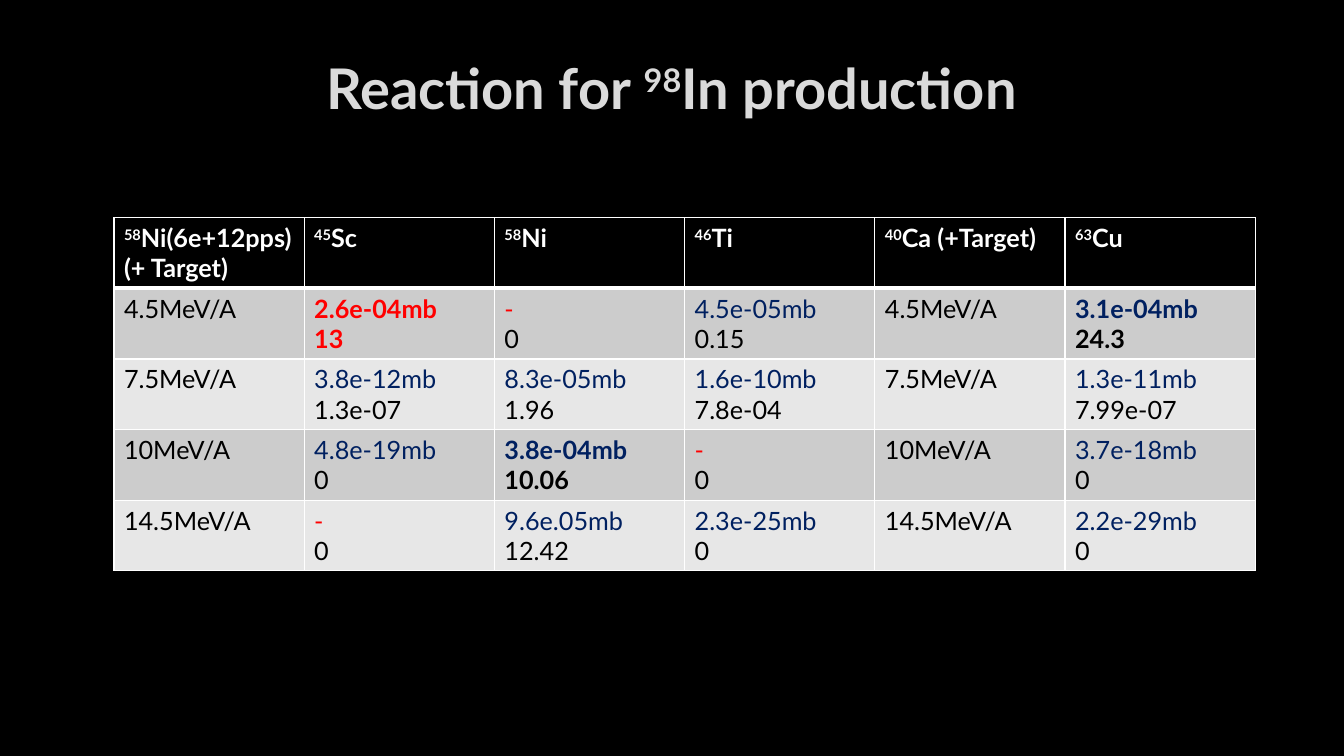
import pptx
import pptx.util
import pptx.dml.color
import pptx.enum.text
import pptx.oxml
import pptx.oxml.ns

Inches, Pt = pptx.util.Inches, pptx.util.Pt
RGB = pptx.dml.color.RGBColor
BLACK = RGB(0x00, 0x00, 0x00)
WHITE = RGB(0xFF, 0xFF, 0xFF)
SILVER = RGB(0xDA, 0xDA, 0xDA)
RED = RGB(0xFF, 0x00, 0x00)
NAVY = RGB(0x00, 0x20, 0x60)
BANDS = [RGB(0xCC, 0xCC, 0xCC), RGB(0xE7, 0xE7, 0xE7)]
FONT = "Lato"

HEADS = [("58", "Ni(6e+12pps) (+ Target)"), ("45", "Sc"), ("58", "Ni"),
         ("46", "Ti"), ("40", "Ca (+Target)"), ("63", "Cu")]
# Each cell below the head: cross section, then rate.
ROWS = [
    ["4.5MeV/A", "2.6e-04mb\n13", "-\n0", "4.5e-05mb\n0.15",
     "4.5MeV/A", "3.1e-04mb\n24.3"],
    ["7.5MeV/A", "3.8e-12mb\n1.3e-07", "8.3e-05mb\n1.96",
     "1.6e-10mb\n7.8e-04", "7.5MeV/A", "1.3e-11mb\n7.99e-07"],
    ["10MeV/A", "4.8e-19mb\n0", "3.8e-04mb\n10.06", "-\n0",
     "10MeV/A", "3.7e-18mb\n0"],
    ["14.5MeV/A", "-\n0", "9.6e.05mb\n12.42", "2.3e-25mb\n0",
     "14.5MeV/A", "2.2e-29mb\n0"],
]
BEST = [(1, 1), (1, 5), (3, 2)]
CHOSEN = (1, 1)


def write(para, parts, size, color, bold):
    """Fill a paragraph with (text, raised) parts in one font."""
    for text, raised in parts:
        run = para.add_run()
        run.text = text
        if raised:
            run.font._element.set("baseline", "30000")
    para.font.name = FONT
    para.font.size = Pt(size)
    para.font.bold = bold
    para.font.color.rgb = color


def border(cell, row):
    """Draw white cell edges, thick under the head row."""
    props = cell._tc.get_or_add_tcPr()
    thick = {(0, "B"), (1, "T")}
    for side in "LRTB":
        width = Pt(3 if (row, side) in thick else 1)
        props.append(pptx.oxml.parse_xml(
            f'<a:ln{side} {pptx.oxml.ns.nsdecls("a")} w="{width}">'
            f'<a:solidFill><a:srgbClr val="{WHITE}"/></a:solidFill>'
            f'</a:ln{side}>'))


deck = pptx.Presentation()
deck.slide_width, deck.slide_height = Inches(13.33), Inches(7.5)
slide = deck.slides.add_slide(deck.slide_layouts[5])
slide.background.fill.solid()
slide.background.fill.fore_color.rgb = BLACK

wide = Inches(11.32)
title = slide.shapes.title
title.left, title.top = Inches(1), Inches(0.33)
title.width, title.height = wide, Inches(1.06)
frame = title.text_frame
frame.vertical_anchor = pptx.enum.text.MSO_ANCHOR.MIDDLE
frame.paragraphs[0].alignment = pptx.enum.text.PP_ALIGN.CENTER
write(frame.paragraphs[0],
      [("Reaction for ", False), ("98", True), ("In production", False)],
      40, SILVER, True)

table = slide.shapes.add_table(len(ROWS) + 1, len(HEADS), Inches(1.13),
                               Inches(2.16), wide, Inches(3.5)).table

for col, (mass, name) in enumerate(HEADS):
    cell = table.cell(0, col)
    border(cell, 0)
    cell.fill.solid()
    cell.fill.fore_color.rgb = BLACK
    write(cell.text_frame.paragraphs[0], [(mass, True), (name, False)],
          18, WHITE, True)

for row, texts in enumerate(ROWS, 1):
    for col, text in enumerate(texts):
        cell = table.cell(row, col)
        border(cell, row)
        cell.fill.solid()
        cell.fill.fore_color.rgb = BANDS[(row - 1) % 2]
        frame = cell.text_frame
        for index, line in enumerate(text.split("\n")):
            para = frame.add_paragraph() if index else frame.paragraphs[0]
            if (row, col) == CHOSEN or line == "-":
                color = RED
            elif line.endswith("mb"):
                color = NAVY
            else:
                color = BLACK
            write(para, [(line, False)], 18, color, (row, col) in BEST)

deck.save("out.pptx")
